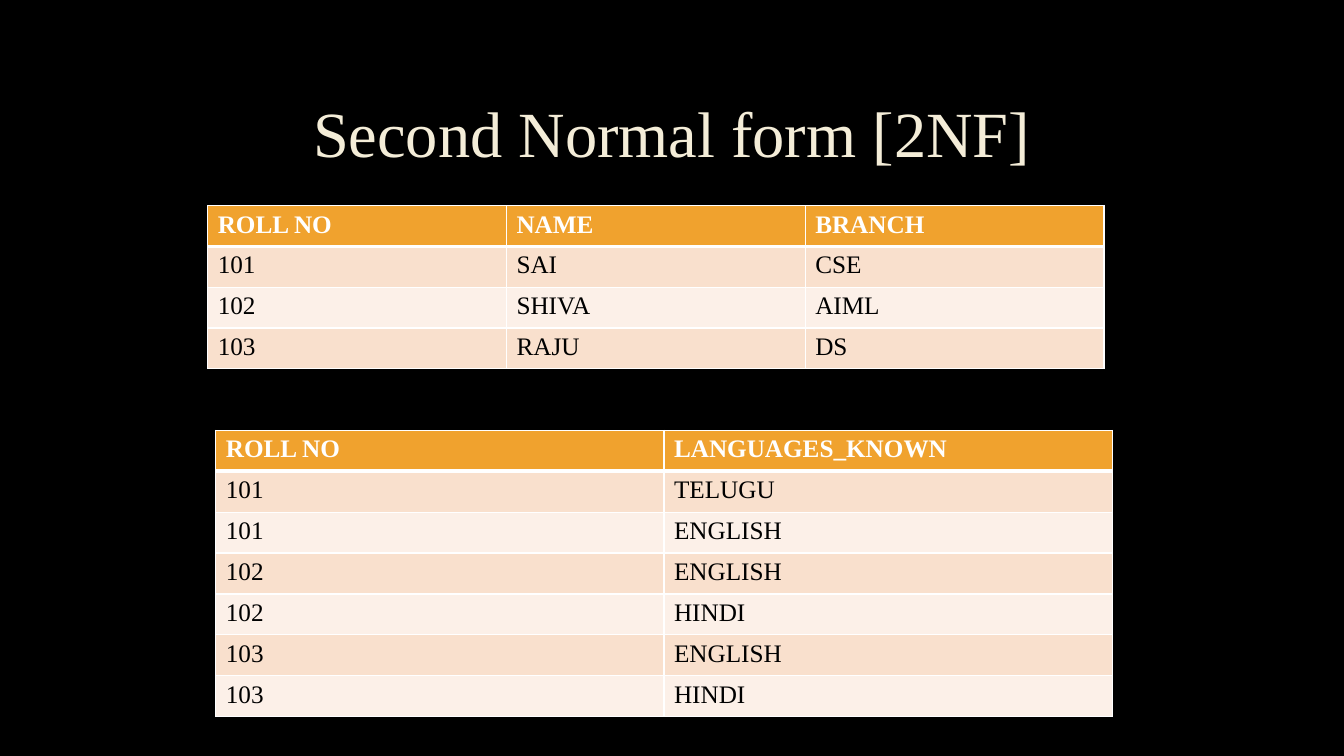
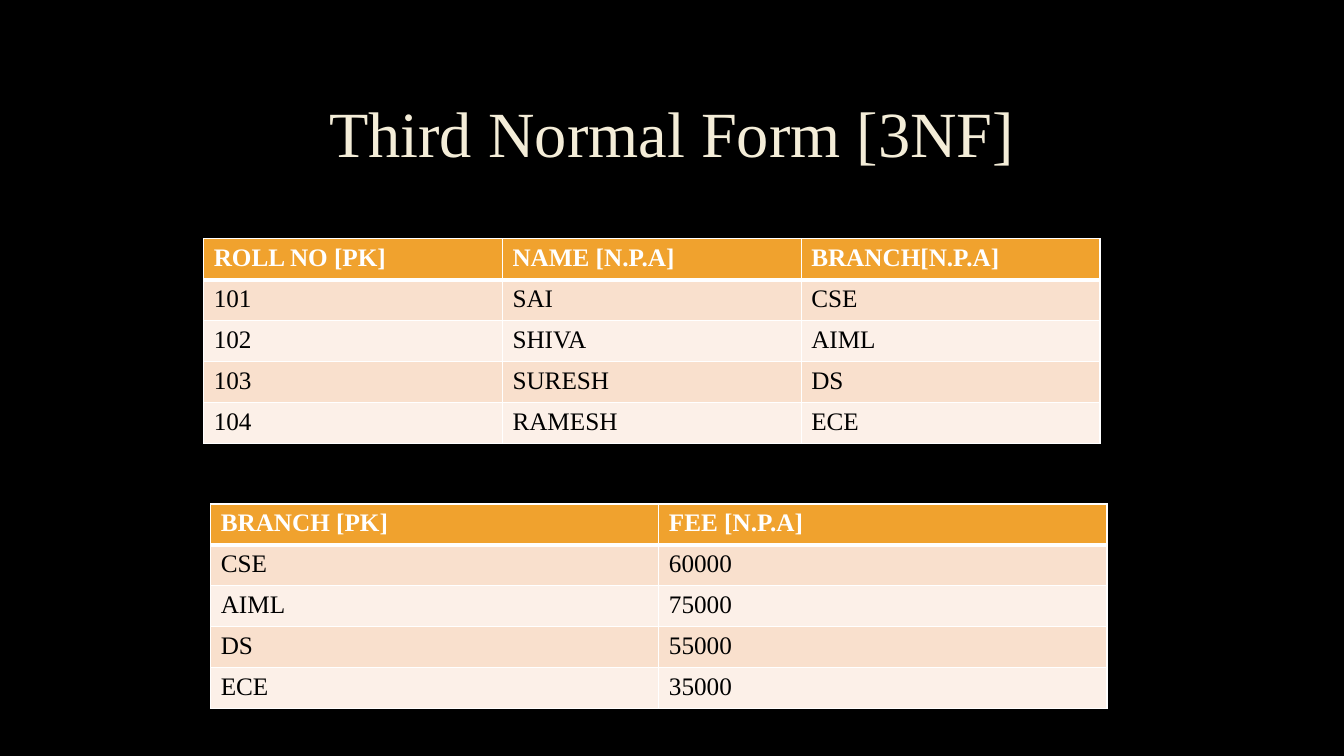
"""Builds two slides on the second and third normal forms."""
from lxml import etree
from pptx import Presentation, util as u
from pptx.dml.color import RGBColor
from pptx.enum import text
from pptx.oxml.ns import qn

FONT = "Times New Roman"
BLACK, WHITE, CREAM, OUTLINE = "000000", "FFFFFF", "F4EDD8", "404040"
HEADER_FILL, BAND_FILLS = "F0A22E", ("F9E0CD", "FCF0E8")
TABLE_WIDTH = 8.89

SLIDES = [
    ("Second Normal form [2NF]", [
        (2.06, 2.04, 1.62, [
            ("ROLL NO", "NAME", "BRANCH"),
            ("101", "SAI", "CSE"),
            ("102", "SHIVA", "AIML"),
            ("103", "RAJU", "DS"),
        ]),
        (2.14, 4.27, 2.84, [
            ("ROLL NO", "LANGUAGES_KNOWN"),
            ("101", "TELUGU"),
            ("101", "ENGLISH"),
            ("102", "ENGLISH"),
            ("102", "HINDI"),
            ("103", "ENGLISH"),
            ("103", "HINDI"),
        ]),
    ]),
    ("Third Normal Form [3NF]", [
        (2.02, 2.37, 2.03, [
            ("ROLL NO [PK]", "NAME [N.P.A]", "BRANCH[N.P.A]"),
            ("101", "SAI", "CSE"),
            ("102", "SHIVA", "AIML"),
            ("103", "SURESH", "DS"),
            ("104", "RAMESH", "ECE"),
        ]),
        (2.09, 5, 2.03, [
            ("BRANCH [PK]", "FEE [N.P.A]"),
            ("CSE", "60000"),
            ("AIML", "75000"),
            ("DS", "55000"),
            ("ECE", "35000"),
        ]),
    ]),
]


def rgb(value):
    return RGBColor.from_string(value)


def write(frame, words, size=18, color=BLACK, bold=False,
          align=text.PP_ALIGN.LEFT, spacing=1.0):
    paragraph = frame.paragraphs[0]
    paragraph.alignment = align
    paragraph.line_spacing = spacing
    run = paragraph.add_run()
    run.text = words
    run.font.name = FONT
    run.font.size = u.Pt(size)
    run.font.bold = bold
    run.font.color.rgb = rgb(color)
    return run


def make_line(tag, color, width, alpha=100):
    line = etree.Element(qn(tag), w=str(u.Pt(width)))
    fill = etree.SubElement(line, qn("a:solidFill"))
    color_element = etree.SubElement(fill, qn("a:srgbClr"), val=color)
    if alpha < 100:
        etree.SubElement(color_element, qn("a:alpha"), val=str(alpha * 1000))
    return line


def add_title(slide, words):
    title = slide.shapes.title
    title.left, title.top = u.Inches(1), u.Inches(0.67)
    title.width, title.height = u.Inches(11.32), u.Inches(1.38)
    title.text_frame.vertical_anchor = text.MSO_ANCHOR.MIDDLE
    run = write(title.text_frame, words, size=46, color=CREAM,
                align=text.PP_ALIGN.CENTER, spacing=0.9)
    run.font._element.insert(0, make_line("a:ln", OUTLINE, 0.75, alpha=10))


def format_cell(cell, words, row):
    is_header = row == 0
    properties = cell._tc.get_or_add_tcPr()
    widths = {"L": 1, "R": 1, "T": 3 if row == 1 else 1, "B": 3 if is_header else 1}
    for side, width in widths.items():
        properties.append(make_line("a:ln" + side, WHITE, width))
    cell.fill.solid()
    cell.fill.fore_color.rgb = rgb(HEADER_FILL if is_header else BAND_FILLS[(row - 1) % 2])
    write(cell.text_frame, words, color=WHITE if is_header else BLACK, bold=is_header)


def add_data_table(slide, left, top, height, rows):
    table = slide.shapes.add_table(
        len(rows), len(rows[0]), u.Inches(left), u.Inches(top),
        u.Inches(TABLE_WIDTH), u.Inches(height)).table
    for row, values in enumerate(rows):
        for column, words in enumerate(values):
            format_cell(table.cell(row, column), words, row)


def main():
    presentation = Presentation()
    presentation.slide_width, presentation.slide_height = u.Inches(13.33), u.Inches(7.5)
    background = presentation.slide_master.background.fill
    background.solid()
    background.fore_color.rgb = rgb(BLACK)
    title_only = presentation.slide_layouts.get_by_name("Title Only")
    for title, tables in SLIDES:
        slide = presentation.slides.add_slide(title_only)
        add_title(slide, title)
        for table in tables:
            add_data_table(slide, *table)
    presentation.save("out.pptx")


if __name__ == "__main__":
    main()
